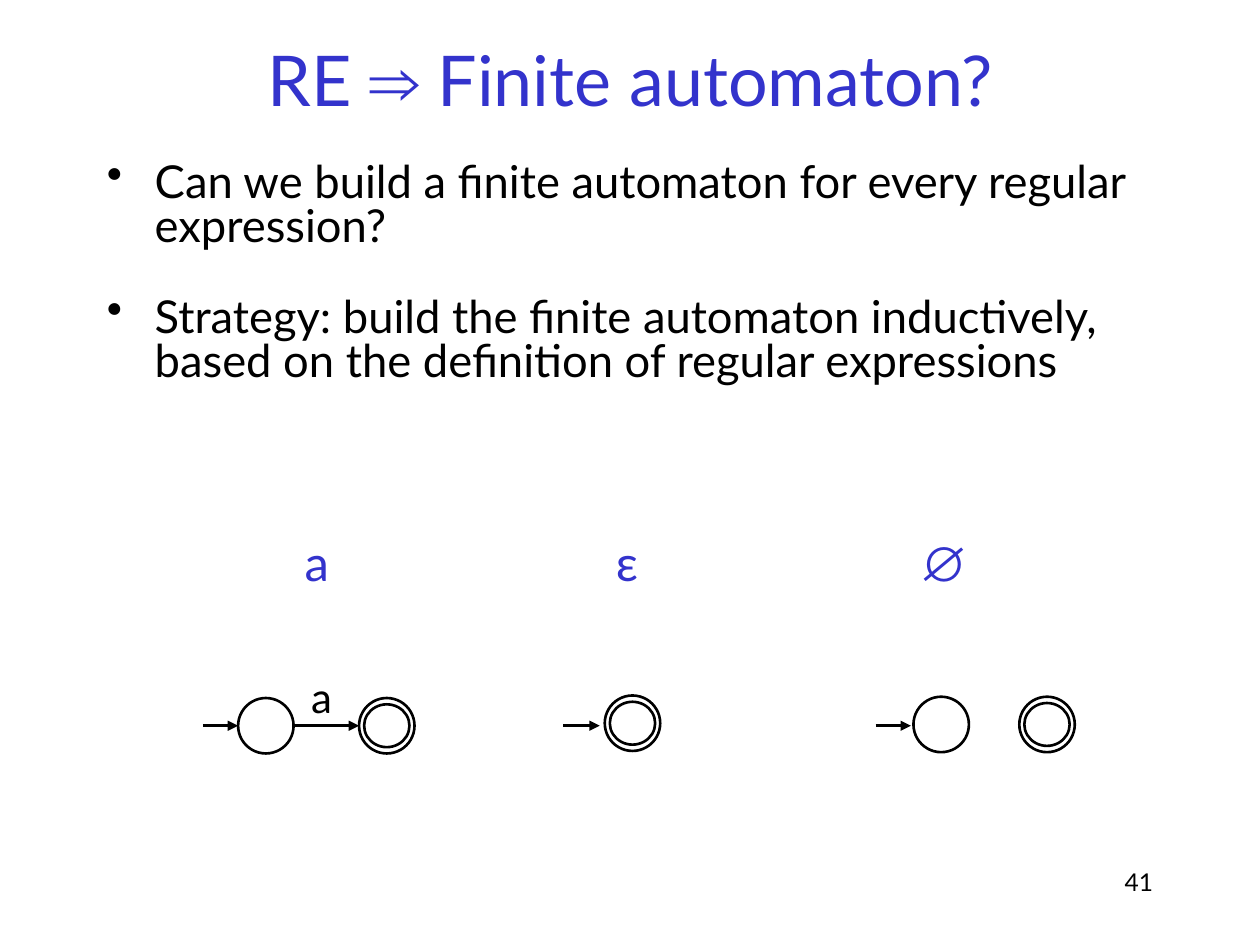
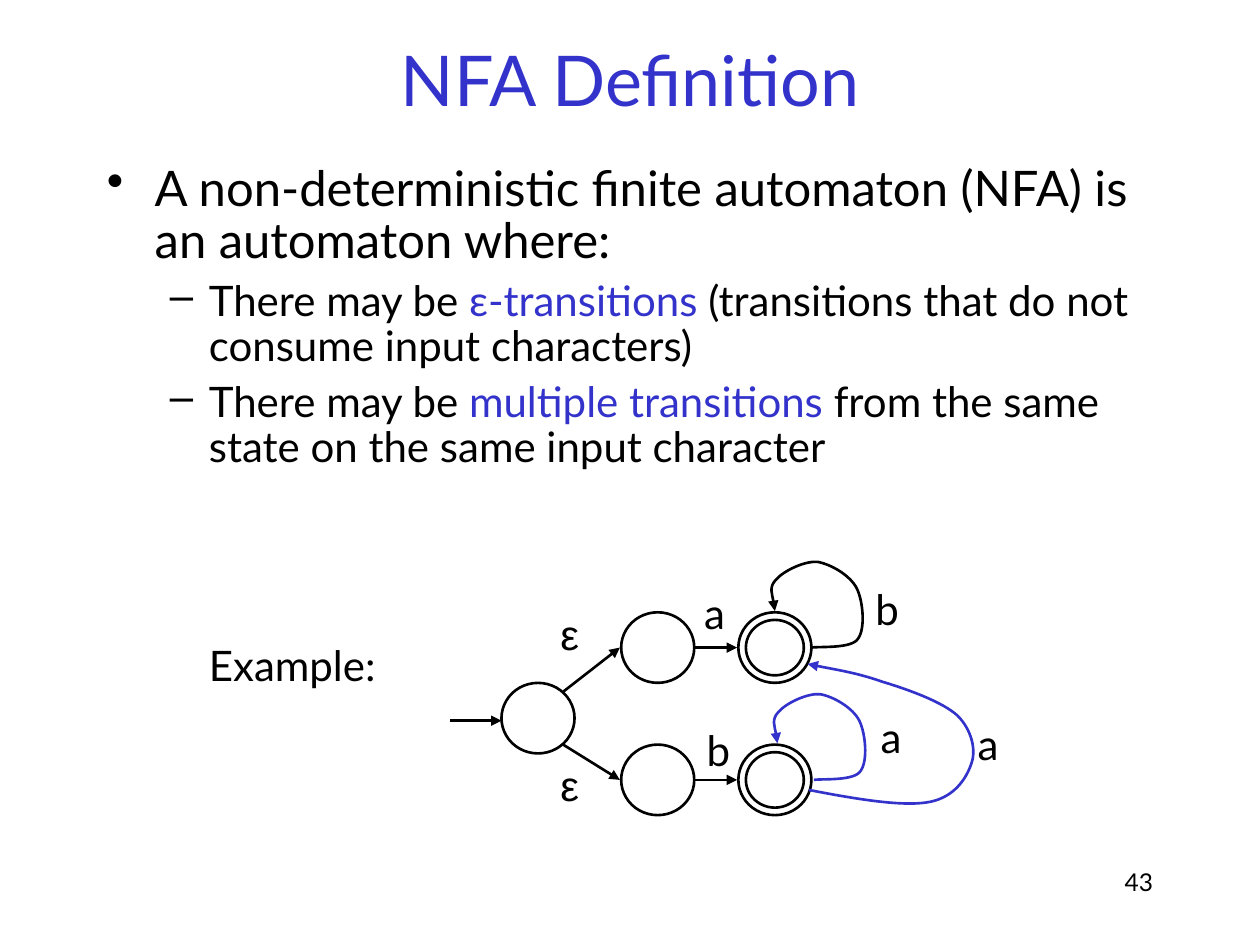
from dataclasses import dataclass
from typing import Optional

import lxml.etree
import pptx
import pptx.dml.color
import pptx.enum.shapes
import pptx.enum.text
import pptx.oxml.ns
import pptx.util

Inches = pptx.util.Inches
Pt = pptx.util.Pt
Color = pptx.dml.color.RGBColor
Align = pptx.enum.text.PP_ALIGN
qn = pptx.oxml.ns.qn


@dataclass(frozen=True)
class Theme:
    ink: Color = Color(0x00, 0x00, 0x00)
    accent: Color = Color(0x33, 0x33, 0xCC)
    font: str = "Lato"
    symbol_font: str = "Arial"
    title_size: float = 40
    heading_size: float = 28
    strategy_size: float = 25.9
    label_size: float = 24
    number_size: float = 14
    line_width: float = 1.5


THEME = Theme()


@dataclass(frozen=True)
class Span:
    text: str
    color: Optional[Color] = None
    symbol: bool = False


@dataclass(frozen=True)
class Bullet:
    spans: tuple[Span, ...]
    size: float
    line_spacing: float
    space_before: float = 0
    level: int = 0


@dataclass(frozen=True)
class Label:
    text: str
    left: float
    top: float
    width: float = 0.38
    height: float = 0.5
    size: float = THEME.label_size
    color: Color = THEME.ink
    font: str = THEME.font
    bold: Optional[bool] = None


@dataclass(frozen=True)
class StateSize:
    width: float
    height: float
    ring_x: float  # gap between the two rings of an accepting state
    ring_y: float


@dataclass(frozen=True)
class State:
    left: float
    top: float
    accepting: bool = False


@dataclass(frozen=True)
class Arrow:
    start: tuple[float, float]
    end: tuple[float, float]


@dataclass(frozen=True)
class Curve:
    """A start point followed by three points for each Bezier segment."""
    points: tuple[tuple[float, float], ...]
    color: Color

    def moved(self, right: float, down: float, color: Color) -> "Curve":
        return Curve(tuple((x + right, y + down) for x, y in self.points), color)


# Text

def style_font(font, size: float, color: Color, name: str = THEME.font) -> None:
    font.size = Pt(size)
    font.color.rgb = color
    font.name = name


def add_spans(paragraph, spans: tuple[Span, ...]) -> None:
    for span in spans:
        run = paragraph.add_run()
        run.text = span.text
        if span.color is not None:
            run.font.color.rgb = span.color
        if span.symbol:
            run.font.name = THEME.symbol_font
            run.font.bold = True


def add_titled_slide(presentation, spans: tuple[Span, ...], number: str):
    slide = presentation.slides.add_slide(presentation.slide_layouts[5])
    title = slide.shapes.title
    title.left, title.top = Inches(0.75), Inches(0)
    title.width, title.height = Inches(8.5), Inches(1.25)
    frame = title.text_frame
    frame.auto_size = pptx.enum.text.MSO_AUTO_SIZE.NONE
    frame.vertical_anchor = pptx.enum.text.MSO_ANCHOR.MIDDLE
    paragraph = frame.paragraphs[0]
    paragraph.alignment = Align.CENTER
    style_font(paragraph.font, THEME.title_size, THEME.accent)
    add_spans(paragraph, spans)

    # Slide number
    box = slide.shapes.add_textbox(Inches(7.17), Inches(6.83), Inches(2.08), Inches(0.5))
    box.text_frame.word_wrap = True
    paragraph = box.text_frame.paragraphs[0]
    paragraph.text = number
    paragraph.alignment = Align.RIGHT
    style_font(paragraph.font, THEME.number_size, THEME.ink)
    return slide


def add_bullets(slide, height: float, bullets: list[Bullet]) -> None:
    box = slide.shapes.add_textbox(Inches(0.75), Inches(1.25), Inches(8.5), Inches(height))
    frame = box.text_frame
    frame.word_wrap = True
    for index, bullet in enumerate(bullets):
        paragraph = frame.add_paragraph() if index else frame.paragraphs[0]
        paragraph.level = bullet.level
        paragraph.line_spacing = bullet.line_spacing
        paragraph.space_before = Pt(bullet.space_before)
        margin, hanging, mark = ((0.38, 0.38, "•"), (0.81, 0.31, "–"))[bullet.level]
        properties = paragraph._p.get_or_add_pPr()
        properties.set("marL", str(Inches(margin)))
        properties.set("indent", str(-Inches(hanging)))
        bullet_color = lxml.etree.SubElement(properties, qn("a:buClr"))
        lxml.etree.SubElement(bullet_color, qn("a:srgbClr"), val=str(THEME.ink))
        lxml.etree.SubElement(properties, qn("a:buChar"), char=mark)
        style_font(paragraph.font, bullet.size, THEME.ink)
        add_spans(paragraph, bullet.spans)


def add_label(slide, label: Label) -> None:
    box = slide.shapes.add_textbox(
        Inches(label.left), Inches(label.top), Inches(label.width), Inches(label.height))
    box.text_frame.word_wrap = False
    box.text_frame.auto_size = pptx.enum.text.MSO_AUTO_SIZE.SHAPE_TO_FIT_TEXT
    paragraph = box.text_frame.paragraphs[0]
    paragraph.text = label.text
    style_font(paragraph.font, label.size, label.color, label.font)
    paragraph.font.bold = label.bold


# Automaton parts

def style_line(shape, color: Color = THEME.ink, arrowhead: bool = False) -> None:
    shape.line.color.rgb = color
    shape.line.width = Pt(THEME.line_width)
    if arrowhead:
        lxml.etree.SubElement(shape.line._get_or_add_ln(), qn("a:tailEnd"), type="triangle")


def add_ring(slide, left: float, top: float, width: float, height: float) -> None:
    ring = slide.shapes.add_shape(
        pptx.enum.shapes.MSO_SHAPE.OVAL,
        Inches(left), Inches(top), Inches(width), Inches(height))
    ring.shadow.inherit = False
    ring.fill.background()
    style_line(ring)


def add_state(slide, state: State, size: StateSize) -> None:
    add_ring(slide, state.left, state.top, size.width, size.height)
    if state.accepting:
        add_ring(slide, state.left + size.ring_x, state.top + size.ring_y,
                 size.width - 2 * size.ring_x, size.height - 2 * size.ring_y)


def add_arrow(slide, arrow: Arrow) -> None:
    connector = slide.shapes.add_connector(
        pptx.enum.shapes.MSO_CONNECTOR.STRAIGHT,
        *(Inches(value) for value in arrow.start + arrow.end))
    style_line(connector, arrowhead=True)
    lxml.etree.SubElement(connector._element.spPr, qn("a:effectLst"))


def add_curve(slide, curve: Curve) -> None:
    start, *points = [(Inches(x), Inches(y)) for x, y in curve.points]
    builder = slide.shapes.build_freeform(*start)
    builder.add_line_segments(points, close=False)
    shape = builder.convert_to_shape()
    # Merge every three straight segments into one Bezier segment
    segments = list(shape._element.iter(qn("a:lnTo")))
    outline = segments[0].getparent()
    for first in range(0, len(segments), 3):
        bezier = lxml.etree.SubElement(outline, qn("a:cubicBezTo"))
        for segment in segments[first:first + 3]:
            bezier.append(segment[0])
            outline.remove(segment)
    shape.shadow.inherit = False
    shape.fill.background()
    style_line(shape, curve.color, arrowhead=True)


def add_automaton(slide, size: StateSize, states: list[State], arrows: list[Arrow],
                  labels: list[Label], curves: tuple[Curve, ...] = ()) -> None:
    for state in states:
        add_state(slide, state, size)
    for arrow in arrows:
        add_arrow(slide, arrow)
    for curve in curves:
        add_curve(slide, curve)
    for label in labels:
        add_label(slide, label)


# Slides

def build_base_cases(presentation) -> None:
    slide = add_titled_slide(
        presentation,
        (Span("RE "), Span("⇒", symbol=True), Span(" Finite automaton?")), "41")
    add_bullets(slide, 2.4, [
        Bullet((Span("Can we build a finite automaton for every regular expression?"),),
               THEME.strategy_size, 0.8),
        Bullet((Span("Strategy: build the finite automaton inductively, "
                     "based on the definition of regular expressions"),),
               THEME.strategy_size, 0.8, space_before=27.4),
    ])
    heading = {"top": 4.18, "height": 0.57, "size": THEME.heading_size, "color": THEME.accent}
    axis = 5.76
    add_automaton(
        slide, StateSize(0.44, 0.44, 0.04, 0.05),
        [State(1.89, 5.54), State(2.85, 5.54, True), State(4.8, 5.52, True),
         State(7.25, 5.53), State(8.09, 5.53, True)],
        [Arrow((left, axis), (right, axis))
         for left, right in ((1.61, 1.89), (2.33, 2.85), (4.47, 4.76), (6.95, 7.23))],
        [Label("a", 2.32, width=0.42, **heading),
         Label("ε", 4.79, width=0.39, **heading),
         Label("∅", 7.2, width=0.51, font=THEME.symbol_font, bold=True, **heading),
         Label("a", 2.37, 5.28)])


def build_nfa_definition(presentation) -> None:
    slide = add_titled_slide(presentation, (Span("NFA Definition"),), "43")
    add_bullets(slide, 2.92, [
        Bullet((Span("A non-deterministic finite automaton (NFA) is an automaton where:"),),
               THEME.heading_size, 0.9),
        Bullet((Span("There may be "), Span("ε-transitions", THEME.accent),
                Span(" (transitions that do not consume input characters)")),
               THEME.label_size, 0.9, 6, 1),
        Bullet((Span("There may be "), Span("multiple transitions ", THEME.accent),
                Span("from the same state on the same input character")),
               THEME.label_size, 0.9, 6, 1),
    ])
    upper, lower = 4.86, 5.91  # tops of the two branches
    upper_loop = Curve((
        (6.44, 5.14), (6.51, 5.13), (6.76, 5.15), (6.81, 5.07),
        (6.87, 4.99), (6.85, 4.77), (6.8, 4.67), (6.75, 4.57), (6.6, 4.48), (6.49, 4.46),
        (6.39, 4.45), (6.22, 4.53), (6.16, 4.6), (6.1, 4.66), (6.15, 4.8), (6.15, 4.85),
    ), THEME.ink)
    return_edge = Curve((
        (6.42, 6.27), (6.78, 6.34), (7.14, 6.4), (7.35, 6.37),
        (7.57, 6.34), (7.67, 6.18), (7.71, 6.06), (7.75, 5.95), (7.71, 5.79), (7.6, 5.68),
        (7.48, 5.57), (7.2, 5.47), (7, 5.41), (6.8, 5.34), (6.6, 5.31), (6.41, 5.27),
    ), THEME.accent)
    epsilon = {"text": "ε", "left": 4.35, "width": 0.34, "font": THEME.symbol_font}
    add_automaton(
        slide, StateSize(0.58, 0.56, 0.06, 0.06),
        [State(3.98, 5.42)] + [State(left, top, accepting) for top in (upper, lower)
                               for left, accepting in ((4.93, False), (5.86, True))],
        [Arrow((3.57, 5.72), (3.98, 5.72)),
         Arrow((4.47, 5.49), (4.92, 5.14)), Arrow((4.47, 5.91), (4.92, 6.19))]
        + [Arrow((5.52, top + 0.28), (5.85, top + 0.28)) for top in (upper, lower)],
        [Label(top=4.78, **epsilon), Label(top=5.98, **epsilon),
         Label("a", 5.49, 4.61), Label("b", 6.85, 4.58, 0.4), Label("b", 5.51, 5.7, 0.4),
         Label("a", 6.89, 5.6), Label("a", 7.66, 5.65), Label("Example:", 1.56, 5.03, 1.63)],
        (upper_loop, upper_loop.moved(0.02, lower - upper, THEME.accent), return_edge))


def main() -> None:
    presentation = pptx.Presentation()
    presentation.slide_width, presentation.slide_height = Inches(10), Inches(7.5)
    build_base_cases(presentation)
    build_nfa_definition(presentation)
    presentation.save("out.pptx")


if __name__ == "__main__":
    main()
